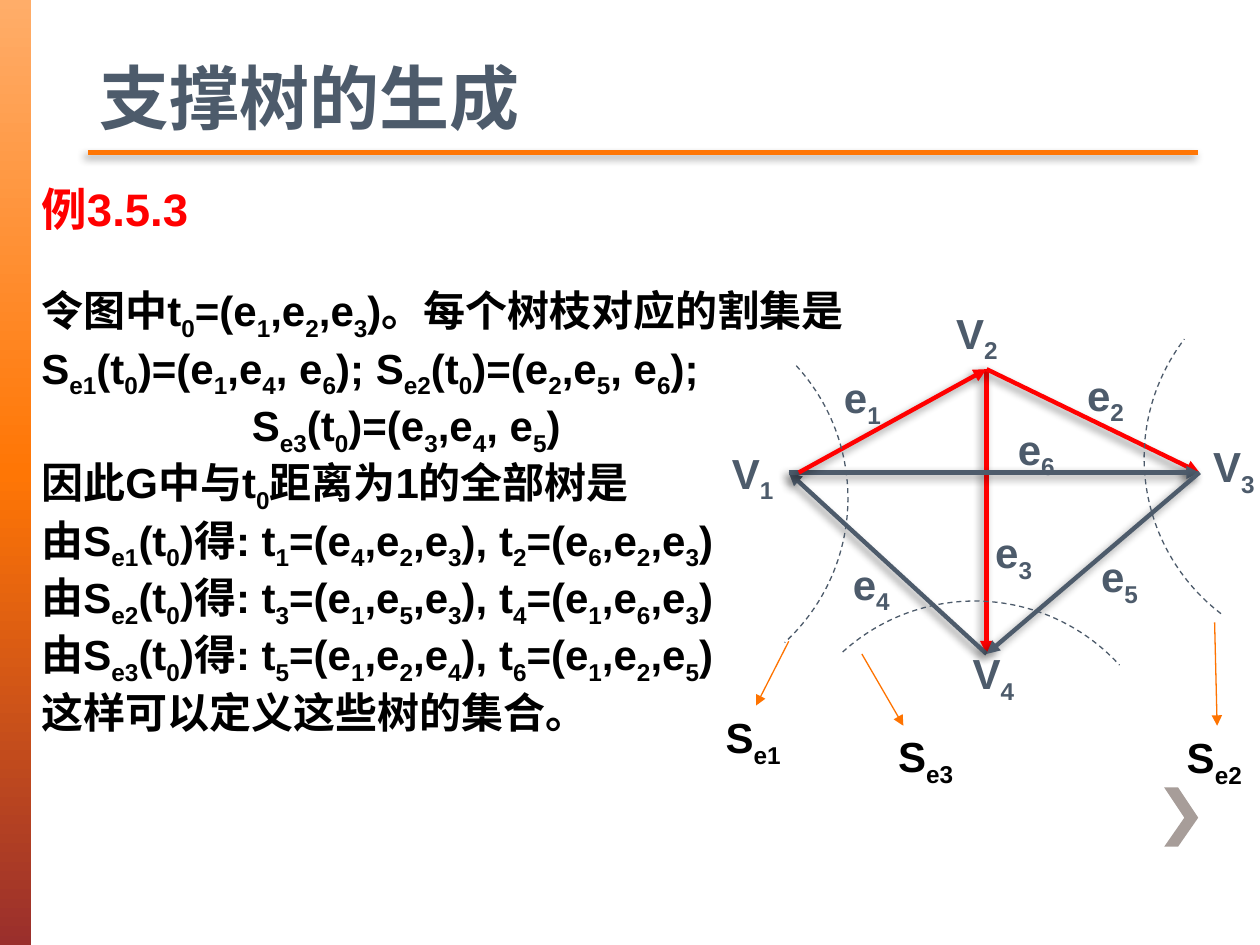
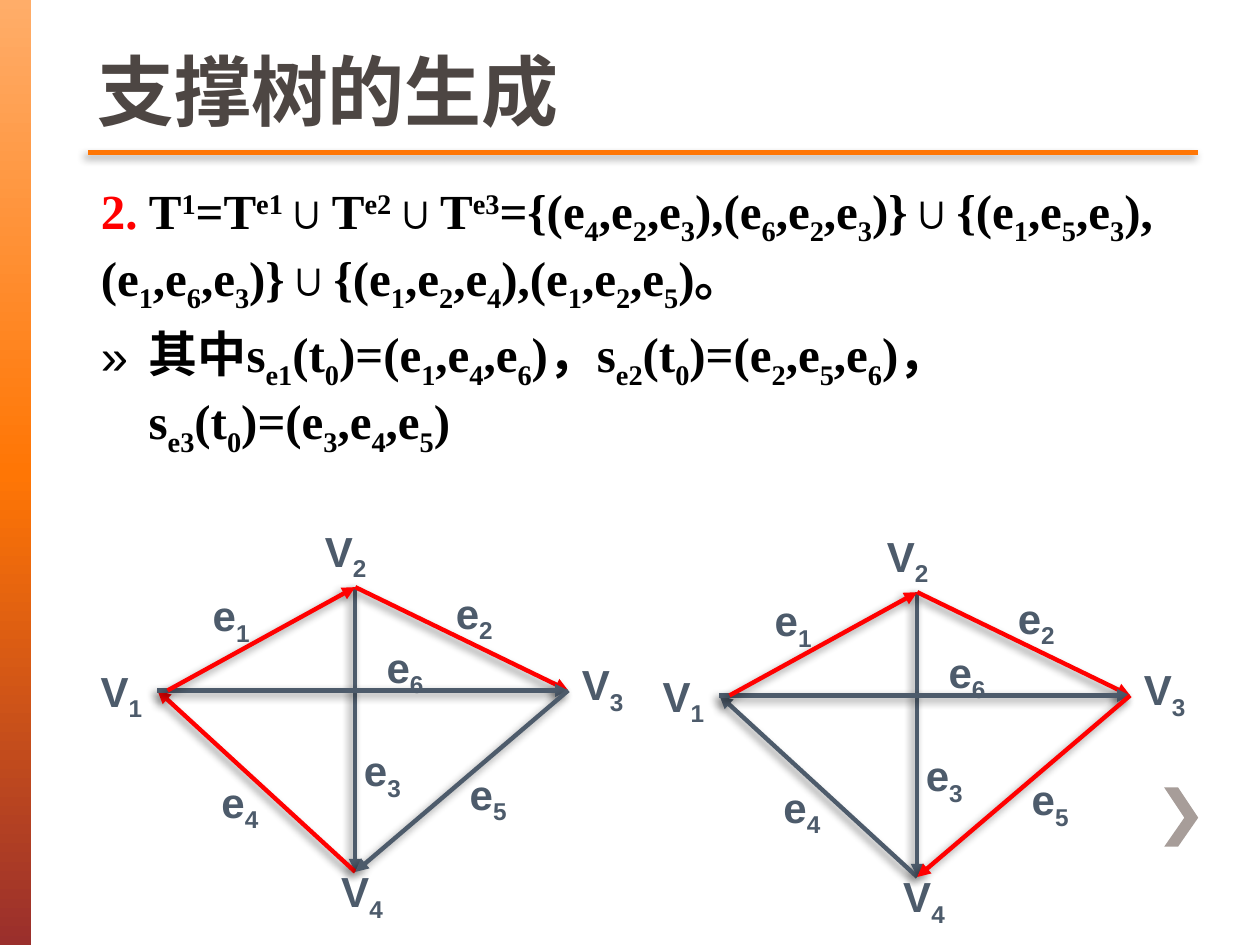
import copy
import pptx
import pptx.dml.color
import pptx.enum.dml
import pptx.enum.lang
import pptx.enum.shapes
import pptx.enum.text
import pptx.oxml
import pptx.oxml.ns
import pptx.util

Inches, Pt = pptx.util.Inches, pptx.util.Pt
RGBColor = pptx.dml.color.RGBColor
Shape = pptx.enum.shapes.MSO_SHAPE
Anchor = pptx.enum.text.MSO_ANCHOR
AutoSize = pptx.enum.text.MSO_AUTO_SIZE
Align = pptx.enum.text.PP_ALIGN
qn = pptx.oxml.ns.qn

SLATE = RGBColor(0x4D, 0x5B, 0x6B)
BROWN = RGBColor(0x4D, 0x46, 0x43)
RED = RGBColor(0xFF, 0x00, 0x00)
BLACK = RGBColor(0x00, 0x00, 0x00)
ORANGE = RGBColor(0xFF, 0x76, 0x05)
POINTER = RGBColor(0xFE, 0x73, 0x00)
STONE = RGBColor(0xA7, 0x9D, 0x99)
BAND = [(0, RGBColor(0xFF, 0xAD, 0x69)), (0.5, ORANGE), (1, RGBColor(0x9A, 0x2F, 0x2C))]

WIDTH, HEIGHT = 10, 7.5
RULE_LEFT, RULE_RIGHT, RULE_Y = 0.7, 9.51, 1.21
CHEVRON = [(0.11, 0), (0, 0), (0.16, 0.24), (0, 0.47), (0.11, 0.47), (0.27, 0.24)]
CHEVRON_AT = (9.24, 6.25)

# Content: "_" lowers and "^" raises the next index (a digit, or e and a digit)
TITLE = "支撑树的生成"
EXAMPLE_HEAD = "例3.5.3"
EXAMPLE = [
    "令图中t_0=(e_1,e_2,e_3)。每个树枝对应的割集是",
    "S_e1(t_0)=(e_1,e_4, e_6); S_e2(t_0)=(e_2,e_5, e_6); S_e3(t_0)=(e_3,e_4, e_5)",
    "因此G中与t_0距离为1的全部树是",
    "由S_e1(t_0)得: t_1=(e_4,e_2,e_3), t_2=(e_6,e_2,e_3)",
    "由S_e2(t_0)得: t_3=(e_1,e_5,e_3), t_4=(e_1,e_6,e_3)",
    "由S_e3(t_0)得: t_5=(e_1,e_2,e_4), t_6=(e_1,e_2,e_5)",
    "这样可以定义这些树的集合。",
]
UNION_NUMBER = "2."
UNION = (" T^1=T^e1∪T^e2∪T^e3={(e_4,e_2,e_3),(e_6,e_2,e_3)}∪{(e_1,e_5,e_3),"
         "(e_1,e_6,e_3)}∪{(e_1,e_2,e_4),(e_1,e_2,e_5)。")
CUT_SETS = "其中s_e1(t_0)=(e_1,e_4,e_6)，s_e2(t_0)=(e_2,e_5,e_6)，s_e3(t_0)=(e_3,e_4,e_5)"

# The graph, measured from vertex V2
V1, V2, V3, V4 = (-1.57, 0.82), (0, 0), (1.69, 0.82), (0, 2.26)
EDGES = {
    "e_3": (V2, V4), "e_2": (V2, V3), "e_4": (V4, V1),
    "e_6": (V1, V3), "e_1": ((-1.49, 0.82), V2), "e_5": (V3, V4),
}
GRAPH_LABELS = {
    "e_1": (-1.23, -0.03), "e_2": (0.7, -0.05), "e_3": (-0.03, 1.2),
    "e_4": (-1.16, 1.45), "e_5": (0.81, 1.39), "e_6": (0.15, 0.38),
    "V_1": (-2.12, 0.57), "V_2": (-0.34, -0.54), "V_3": (1.7, 0.52), "V_4": (-0.21, 2.16),
}
LABEL_WIDTH = {"e": 0.53, "V": 0.65}

# Cut sets: label, its corner, pointer start, pointer tip (None: top of label), arc corner, turn
CUTS = [
    ("S_e1", (5.66, 5.6), (6.26, 5.09), None, (3.62, 2.4), 47.4),
    ("S_e3", (7.03, 5.75), (6.84, 5.19), (7.17, 5.76), (6.18, 4.77), 317.7),
    ("S_e2", (9.32, 5.76), (9.64, 4.94), None, (9.08, 2.08), 217.4),
]
ARC_SIZE = 3.11

LABEL_FONT = dict(size=Pt(24), name="Arial", bold=True)
HEAD_FONT = dict(LABEL_FONT, size=Pt(26))
FORMULA_FONT = dict(size=Pt(28), name="Times New Roman", bold=True)


def assign(target, values):
    for key, value in values.items():
        setattr(target, key, value)


def write(paragraph, text, font, color):
    """Add text to a paragraph, with its indices lowered or raised."""
    first, *rest = text.replace("^", "_^").split("_")
    pieces = [(first, 0)]
    for chunk in rest:
        shift = 30 if chunk[0] == "^" else -25
        chunk = chunk.lstrip("^")
        cut = 2 if chunk[0] == "e" else 1
        pieces += [(chunk[:cut], shift), (chunk[cut:], 0)]
    for piece, shift in pieces:
        if not piece:
            continue
        run = paragraph.add_run()
        run.text = piece
        assign(run.font, font)
        run.font.language_id = pptx.enum.lang.MSO_LANGUAGE_ID.SIMPLIFIED_CHINESE
        run.font.color.rgb = color
        if shift:
            run._r.get_or_add_rPr().set("baseline", str(shift * 1000))


def indent(paragraph, inches, bullet=None):
    """Hang the first line by the given length, with or without a bullet."""
    props = paragraph._p.get_or_add_pPr()
    props.set("marL", str(Inches(inches)))
    props.set("indent", str(-Inches(inches)))
    if bullet:
        face = props.makeelement(qn("a:buFont"), {"typeface": "Arial"})
        mark = props.makeelement(qn("a:buChar"), {"char": bullet})
        props.extend([face, mark])
    else:
        props.append(props.makeelement(qn("a:buNone"), {}))


def place(shape, left, top, width, height):
    assign(shape, dict(left=Inches(left), top=Inches(top),
                       width=Inches(width), height=Inches(height)))


def add_text(slide, left, top, width, height, wrap=True):
    box = slide.shapes.add_textbox(*map(Inches, (left, top, width, height)))
    assign(box.text_frame, dict(word_wrap=wrap, auto_size=AutoSize.SHAPE_TO_FIT_TEXT))
    return box


def add_line(slide, start, end, color, width, arrow=True, shadow=True):
    line = slide.shapes.add_connector(pptx.enum.shapes.MSO_CONNECTOR.STRAIGHT,
                                      *map(Inches, (*start, *end)))
    line.line.color.rgb = color
    line.line.width = Pt(width)
    props = line.element.spPr
    if arrow:
        outline = props.find(qn("a:ln"))
        outline.append(outline.makeelement(qn("a:tailEnd"), {"type": "triangle"}))
    effects = props.makeelement(qn("a:effectLst"), {})
    if shadow:
        effects.append(pptx.oxml.parse_xml(
            '<a:outerShdw xmlns:a="http://schemas.openxmlformats.org/drawingml/2006/main"'
            f' blurRad="{Pt(5)}" dist="{Pt(3)}" dir="{135 * 60000}" rotWithShape="0">'
            '<a:srgbClr val="000000"><a:alpha val="45000"/></a:srgbClr></a:outerShdw>'))
    props.append(effects)
    return line


def start_slide(deck, layout, title_at, title_size, title_color):
    """Open a slide with the side band, title rule, chevron and title."""
    slide = deck.slides.add_slide(deck.slide_layouts[layout])

    band = slide.shapes.add_shape(Shape.RECTANGLE, 0, 0, Inches(0.25), Inches(HEIGHT))
    band.shadow.inherit = False
    band.line.fill.background()
    band.fill.gradient()
    stops = band.element.spPr.find(qn("a:gradFill")).find(qn("a:gsLst"))
    stops.append(copy.deepcopy(stops[0]))
    for stop, (position, color) in zip(band.fill.gradient_stops, BAND):
        stop.position = position
        stop.color.rgb = color
    band.fill.gradient_angle = 270

    corner_x, corner_y = CHEVRON_AT
    points = [(Inches(corner_x + x), Inches(corner_y + y)) for x, y in CHEVRON]
    builder = slide.shapes.build_freeform(*points[0])
    builder.add_line_segments(points[1:], close=True)
    chevron = builder.convert_to_shape()
    chevron.shadow.inherit = False
    chevron.fill.solid()
    chevron.fill.fore_color.rgb = STONE
    chevron.line.fill.background()

    add_line(slide, (RULE_LEFT, RULE_Y), (RULE_RIGHT, RULE_Y), ORANGE, 2.5, arrow=False)

    title = slide.shapes.title
    place(title, *title_at)
    assign(title.text_frame, dict(vertical_anchor=Anchor.BOTTOM, auto_size=AutoSize.NONE))
    heading = title.text_frame.paragraphs[0]
    heading.alignment = Align.LEFT
    write(heading, TITLE, dict(LABEL_FONT, size=Pt(title_size)), title_color)
    return slide


def add_graph(slide, apex, tree):
    """Draw the graph with V2 at apex and the edges of the tree in red."""
    def at(point):
        return apex[0] + point[0], apex[1] + point[1]

    for edge, (start, end) in EDGES.items():
        add_line(slide, at(start), at(end), RED if edge in tree else SLATE, 2.5)
    for label, corner in GRAPH_LABELS.items():
        box = add_text(slide, *at(corner), LABEL_WIDTH[label[0]], 0.5)
        write(box.text_frame.paragraphs[0], label, LABEL_FONT, SLATE)


def add_cut(slide, label, corner, start, tip, arc_corner, turn):
    """Draw a cut as a dashed arc, with a pointer to its label."""
    arc = slide.shapes.add_shape(Shape.ARC, *map(Inches, (*arc_corner, ARC_SIZE, ARC_SIZE)))
    arc.shadow.inherit = False
    arc.fill.background()
    arc.rotation = turn
    arc.line.color.rgb = SLATE
    assign(arc.line, dict(width=Pt(0.75), dash_style=pptx.enum.dml.MSO_LINE.DASH))
    name = add_text(slide, *corner, 0.68, 0.5, wrap=False)
    write(name.text_frame.paragraphs[0], label, LABEL_FONT, BLACK)
    pointer = add_line(slide, start, tip or corner, POINTER, 0.75, shadow=False)
    if tip is None:
        pointer.end_connect(name, 0)


def build_example(deck):
    slide = start_slide(deck, 5, (0.69, 0.36, 8.81, 0.79), 40, SLATE)
    frame = add_text(slide, 0.23, 1.39, 7.45, 4.7).text_frame
    head = frame.paragraphs[0]
    head.space_before = Pt(5)
    indent(head, 1.67)
    write(head, EXAMPLE_HEAD, HEAD_FONT, RED)
    for number, text in enumerate(EXAMPLE):
        step = frame.add_paragraph()
        step.space_before = Pt(0 if number else 28)
        indent(step, 1.67)
        write(step, text, LABEL_FONT, BLACK)
    add_graph(slide, (7.83, 2.93), {"e_1", "e_2", "e_3"})
    for cut in CUTS:
        add_cut(slide, *cut)


def build_union(deck):
    slide = start_slide(deck, 1, (0.67, 0, 8.81, 1.13), 44, BROWN)
    body = slide.placeholders[1]
    place(body, 0.7, 1.38, 8.78, 5.7)
    body.text_frame.auto_size = AutoSize.NONE
    union = body.text_frame.paragraphs[0]
    indent(union, 0)
    write(union, UNION_NUMBER, FORMULA_FONT, RED)
    write(union, UNION, FORMULA_FONT, BLACK)
    cut_sets = body.text_frame.add_paragraph()
    indent(cut_sets, 0.38, "»")
    write(cut_sets, CUT_SETS, FORMULA_FONT, BLACK)
    add_graph(slide, (2.82, 4.66), {"e_1", "e_2", "e_4"})
    add_graph(slide, (7.28, 4.7), {"e_1", "e_2", "e_5"})


def main():
    deck = pptx.Presentation()
    assign(deck, dict(slide_width=Inches(WIDTH), slide_height=Inches(HEIGHT)))
    build_example(deck)
    build_union(deck)
    deck.save("out.pptx")


if __name__ == "__main__":
    main()
